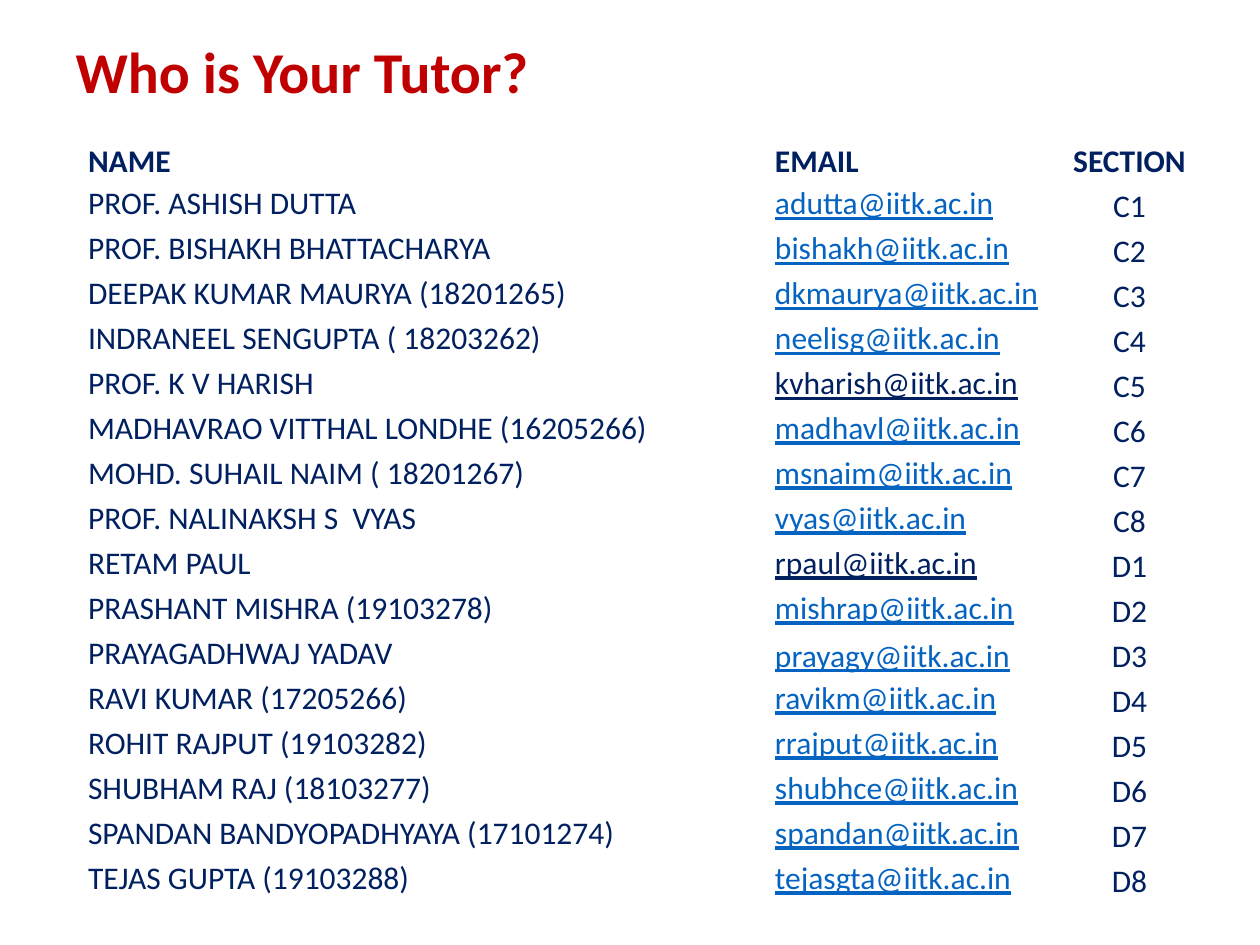
import pptx
import pptx.util
import pptx.dml.color
import pptx.enum.text
import pptx.oxml
import pptx.oxml.ns

RGBColor = pptx.dml.color.RGBColor
ANCHOR = pptx.enum.text.MSO_ANCHOR
ALIGN = pptx.enum.text.PP_ALIGN

RED = RGBColor(0xC0, 0x00, 0x00)
NAVY = RGBColor(0x00, 0x20, 0x60)
LINK = RGBColor(0x05, 0x63, 0xC1)
WHITE = RGBColor(0xFF, 0xFF, 0xFF)

HEADINGS = ("NAME", "EMAIL", "SECTION")
TUTORS = [
    ("PROF. ASHISH DUTTA", "adutta", "C1"),
    ("PROF. BISHAKH BHATTACHARYA", "bishakh", "C2"),
    ("DEEPAK KUMAR MAURYA (18201265)", "dkmaurya", "C3"),
    ("INDRANEEL SENGUPTA ( 18203262)", "neelisg", "C4"),
    ("PROF. K V HARISH", "kvharish", "C5"),
    ("MADHAVRAO VITTHAL LONDHE (16205266)", "madhavl", "C6"),
    ("MOHD. SUHAIL NAIM ( 18201267)", "msnaim", "C7"),
    ("PROF. NALINAKSH S  VYAS", "vyas", "C8"),
    ("RETAM PAUL", "rpaul", "D1"),
    ("PRASHANT MISHRA (19103278)", "mishrap", "D2"),
    ("PRAYAGADHWAJ YADAV", "prayagy", "D3"),
    ("RAVI KUMAR (17205266)", "ravikm", "D4"),
    ("ROHIT RAJPUT (19103282)", "rrajput", "D5"),
    ("SHUBHAM RAJ (18103277)", "shubhce", "D6"),
    ("SPANDAN BANDYOPADHYAYA (17101274)", "spandan", "D7"),
    ("TEJAS GUPTA (19103288)", "tejasgta", "D8"),
]
NAVY_EMAILS = {"kvharish", "rpaul"}
LOW_EMAILS = {"prayagy"}


def px(n):
    return pptx.util.Emu(round(n * 914400 / 126))


class Deck:
    """Holds the text style and the current slide, and adds elements to it."""

    def __init__(self, font="Calibri", size=18):
        self.font, self.size = font, size
        self.prs = pptx.Presentation()
        self.prs.slide_width, self.prs.slide_height = px(1260), px(945)
        self.s = self.prs.slides.add_slide(self.prs.slide_layouts[5])

    def style(self, p, color, size=None, bold=False, underline=False):
        f = p.font
        f.name, f.size = self.font, pptx.util.Pt(size or self.size)
        f.bold, f.underline = bold, underline
        f.color.rgb = color

    def title(self, text, x, y, w, h):
        sp = self.s.shapes.title
        sp.left, sp.top, sp.width, sp.height = px(x), px(y), px(w), px(h)
        tf = sp.text_frame
        tf.text = text
        tf.vertical_anchor = ANCHOR.MIDDLE
        p = tf.paragraphs[0]
        p.alignment, p.line_spacing = ALIGN.LEFT, 0.9
        self.style(p, RED, 33, bold=True)

    def table(self, x, y, widths, row_height, rows):
        frame = self.s.shapes.add_table(
            rows, len(widths), px(x), px(y), px(sum(widths)), px(row_height * rows))
        table = frame.table
        table.first_row = table.horz_banding = False
        for column, w in zip(table.columns, widths):
            column.width = px(w)
        for row in table.rows:
            row.height = px(row_height)
        return table

    def cell(self, cell, text, anchor, align=ALIGN.LEFT, color=NAVY, **style):
        cell.text = text
        cell.vertical_anchor = anchor
        cell.margin_left = cell.margin_right = cell.margin_top = px(1)
        cell.margin_bottom = 0
        self.borders(cell)
        cell.fill.background()
        p = cell.text_frame.paragraphs[0]
        p.alignment = align
        self.style(p, color, **style)

    def borders(self, cell):
        tcPr = cell._tc.get_or_add_tcPr()
        for side in "LRTB":
            tcPr.append(pptx.oxml.parse_xml(
                f'<a:ln{side} {pptx.oxml.ns.nsdecls("a")} w="12700"><a:solidFill>'
                f'<a:srgbClr val="{WHITE}"/></a:solidFill></a:ln{side}>'))


def main():
    deck = Deck()
    deck.title("Who is Your Tutor?", 63, 32, 1086, 86)
    table = deck.table(87, 136, (687, 277, 157), 45, len(TUTORS) + 1)
    for c, (text, align) in enumerate(zip(HEADINGS, (ALIGN.LEFT, ALIGN.LEFT, ALIGN.CENTER))):
        deck.cell(table.cell(0, c), text, ANCHOR.BOTTOM, align, bold=True)
    for r, (name, user, section) in enumerate(TUTORS, 1):
        deck.cell(table.cell(r, 0), name, ANCHOR.MIDDLE)
        deck.cell(table.cell(r, 1), f"{user}@iitk.ac.in",
                  ANCHOR.BOTTOM if user in LOW_EMAILS else ANCHOR.MIDDLE,
                  color=NAVY if user in NAVY_EMAILS else LINK, underline=True)
        deck.cell(table.cell(r, 2), section, ANCHOR.BOTTOM, ALIGN.CENTER)
    deck.prs.save("out.pptx")


if __name__ == "__main__":
    main()
